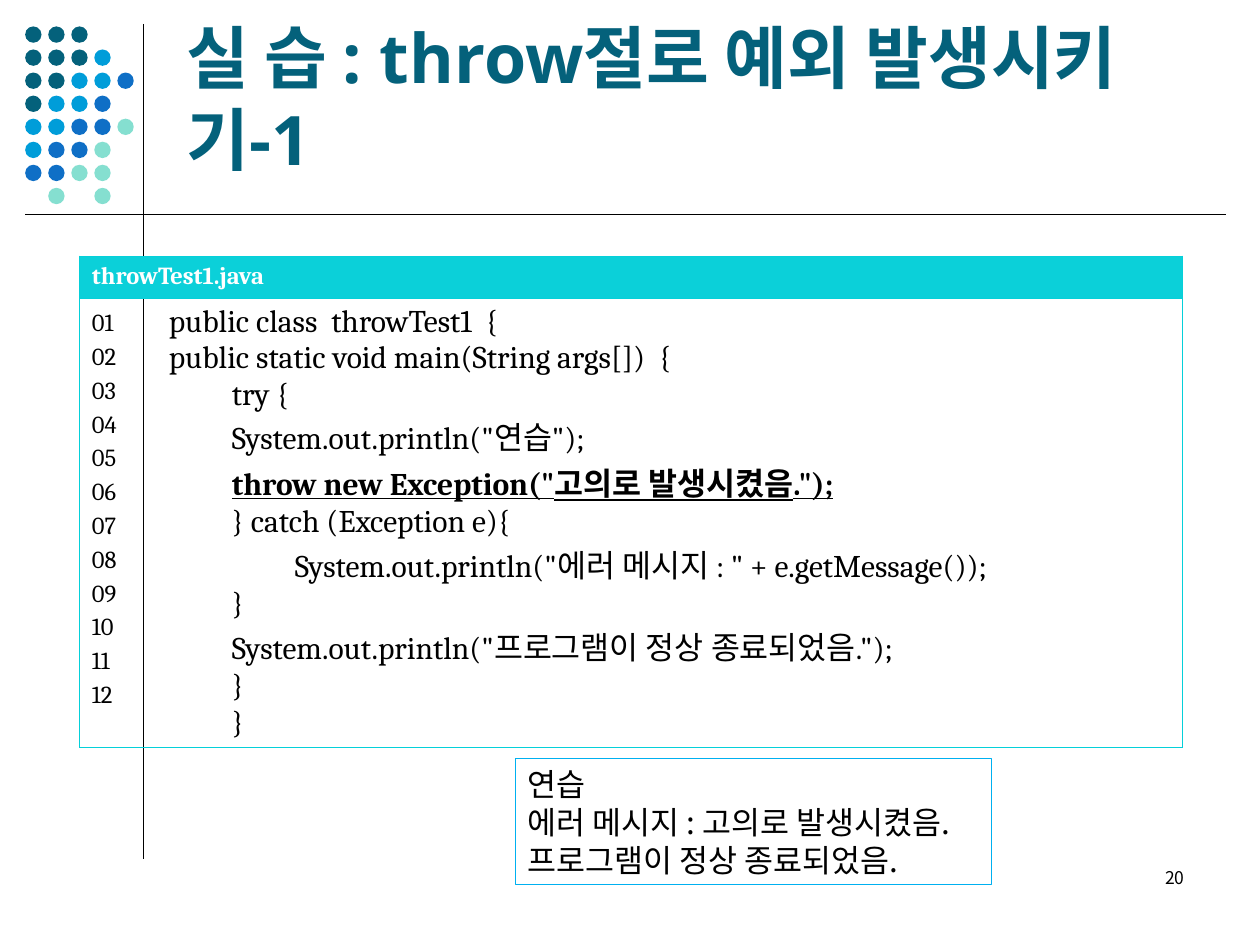
from lxml.etree import SubElement
from pptx import Presentation
from pptx.dml.color import RGBColor
from pptx.enum.shapes import MSO_CONNECTOR, MSO_SHAPE
from pptx.enum.text import MSO_ANCHOR, PP_ALIGN
from pptx.oxml.ns import qn
from pptx.util import Inches, Pt

COLORS = {
    "teal": "04617B", "sky": "009DD9", "blue": "0F6FC6", "mint": "85DFD0",
    "black": "000000", "white": "FFFFFF", "head": "0BD0D9",
    "edge": "05D0D9", "frame": "00B0F0",
}
SANS, SERIF, HANGUL = "Noto Sans", "Cambria", "Noto Sans CJK KR"

TITLE = "실 습 : throw절로 예외 발생시키기-1"
DOTS = ["TTT", "TTTS", "TTSSB", "TSSB", "SSBBM", "SBBM", "BBMM", " M M"]
DOT_COLORS = {"T": "teal", "S": "sky", "B": "blue", "M": "mint"}
FILE = "throwTest1.java"
# Indent level and text of each line of code
CODE = [
    (0, "public class  throwTest1  {"),
    (0, "public static void main(String args[])  {"),
    (1, "try {"),
    (1, 'System.out.println("연습");'),
    (1, 'throw new Exception("고의로 발생시켰음.");'),
    (1, "} catch (Exception e){"),
    (2, 'System.out.println("에러 메시지 : " + e.getMessage());'),
    (1, "}"),
    (1, 'System.out.println("프로그램이 정상 종료되었음.");'),
    (1, "}"),
    (1, "}"),
]
KEY_LINE = 4
NUMBERS = [f"{n:02}" for n in range(1, 13)]
OUTPUT = ["연습", "에러 메시지 : 고의로 발생시켰음.", "프로그램이 정상 종료되었음."]
COLS, ROWS = (0.61, 8.14), (0.33, 3.57)


def rgb(name):
    return RGBColor.from_string(COLORS[name])


def write(frame, lines, size, font, color="black", bold=False, align=PP_ALIGN.LEFT,
          spacing=None, levels=None, key=None):
    """Fill a text frame; the line numbered key is bold and underlined."""
    for i, text in enumerate(lines):
        para = frame.paragraphs[0] if i == 0 else frame.add_paragraph()
        para.alignment = align
        if spacing:
            para.line_spacing = spacing
        if levels and levels[i]:
            para.level = levels[i]
            props = para._p.get_or_add_pPr()
            props.set("marL", str(Inches(0.5 * levels[i])))
            props.set("indent", "0")
        run = para.add_run()
        run.text = text
        run.font.size = Pt(size)
        run.font.name = font
        run.font.bold = bold or i == key
        run.font.underline = i == key
        run.font.color.rgb = rgb(color)
        SubElement(run._r.get_or_add_rPr(), qn("a:ea"), typeface=HANGUL)


def add_text(slide, box, lines, anchor=MSO_ANCHOR.TOP, **style):
    frame = slide.shapes.add_textbox(*map(Inches, box)).text_frame
    frame.word_wrap = True
    frame.vertical_anchor = anchor
    write(frame, lines, **style)


def add_rule(slide, *ends):
    rule = slide.shapes.add_connector(MSO_CONNECTOR.STRAIGHT, *map(Inches, ends))
    rule.line.color.rgb = rgb("black")
    rule.line.width = Pt(0.75)
    SubElement(rule._element.spPr, qn("a:effectLst"))


def add_dots(slide):
    size, step = 0.13, 0.183
    for row, marks in enumerate(DOTS):
        for col, mark in enumerate(marks):
            if mark == " ":
                continue
            spot = (0.2 + col * step, 0.21 + row * step, size, size)
            dot = slide.shapes.add_shape(MSO_SHAPE.OVAL, *map(Inches, spot))
            dot.shadow.inherit = False
            dot.fill.solid()
            dot.fill.fore_color.rgb = rgb(DOT_COLORS[mark])
            dot.line.fill.background()


def paint(cell, sides, fill=None):
    """Draw the named sides (L, R, T, B) of a cell and set its fill."""
    props = cell._tc.get_or_add_tcPr()
    for side in "LRTB":
        line = SubElement(props, qn(f"a:ln{side}"), w=str(Pt(0.34)))
        if side in sides:
            solid = SubElement(line, qn("a:solidFill"))
            SubElement(solid, qn("a:srgbClr"), val=COLORS["edge"])
        else:
            SubElement(line, qn("a:noFill"))
    if fill:
        cell.fill.solid()
        cell.fill.fore_color.rgb = rgb(fill)
    else:
        cell.fill.background()


def add_code(slide):
    box = map(Inches, (0.63, 2.03, sum(COLS), sum(ROWS)))
    table = slide.shapes.add_table(2, 2, *box).table
    for col, width in zip(table.columns, COLS):
        col.width = Inches(width)
    for row, height in zip(table.rows, ROWS):
        row.height = Inches(height)
    head, nums, code = table.cell(0, 0), table.cell(1, 0), table.cell(1, 1)
    head.merge(table.cell(0, 1))
    head.vertical_anchor = MSO_ANCHOR.MIDDLE
    paint(head, "LRTB", "head")
    paint(table.cell(0, 1), "LRTB", "head")
    paint(nums, "LTB")
    paint(code, "RTB", "white")
    write(head.text_frame, [FILE], 14, SERIF, color="white", bold=True)
    write(nums.text_frame, NUMBERS, 14, SERIF, spacing=1.2)
    levels, lines = zip(*CODE)
    write(code.text_frame, lines, 18, SERIF, levels=levels, key=KEY_LINE)


def add_output(slide):
    box = map(Inches, (4.09, 6.02, 3.78, 1))
    shape = slide.shapes.add_shape(MSO_SHAPE.RECTANGLE, *box)
    shape.shadow.inherit = False
    shape.fill.solid()
    shape.fill.fore_color.rgb = rgb("white")
    shape.line.color.rgb = rgb("frame")
    shape.line.width = Pt(0.75)
    frame = shape.text_frame
    frame.word_wrap = False
    frame.vertical_anchor = MSO_ANCHOR.TOP
    write(frame, OUTPUT, 18, HANGUL, spacing=Pt(21.7))


def main():
    deck = Presentation()
    deck.slide_width, deck.slide_height = Inches(10), Inches(7.5)
    slide = deck.slides.add_slide(deck.slide_layouts[6])
    add_rule(slide, 1.14, 0.19, 1.14, 6.82)
    add_dots(slide)
    add_rule(slide, 0.2, 1.7, 9.73, 1.7)
    add_text(slide, (1.38, 0.21, 8.25, 1.26), [TITLE], anchor=MSO_ANCHOR.BOTTOM,
             size=39, font=SANS, color="teal", bold=True)
    add_text(slide, (7.17, 6.83, 2.33, 0.5), ["20"], size=10, font=HANGUL,
             align=PP_ALIGN.RIGHT)
    add_code(slide)
    add_output(slide)
    deck.save("out.pptx")


if __name__ == "__main__":
    main()
